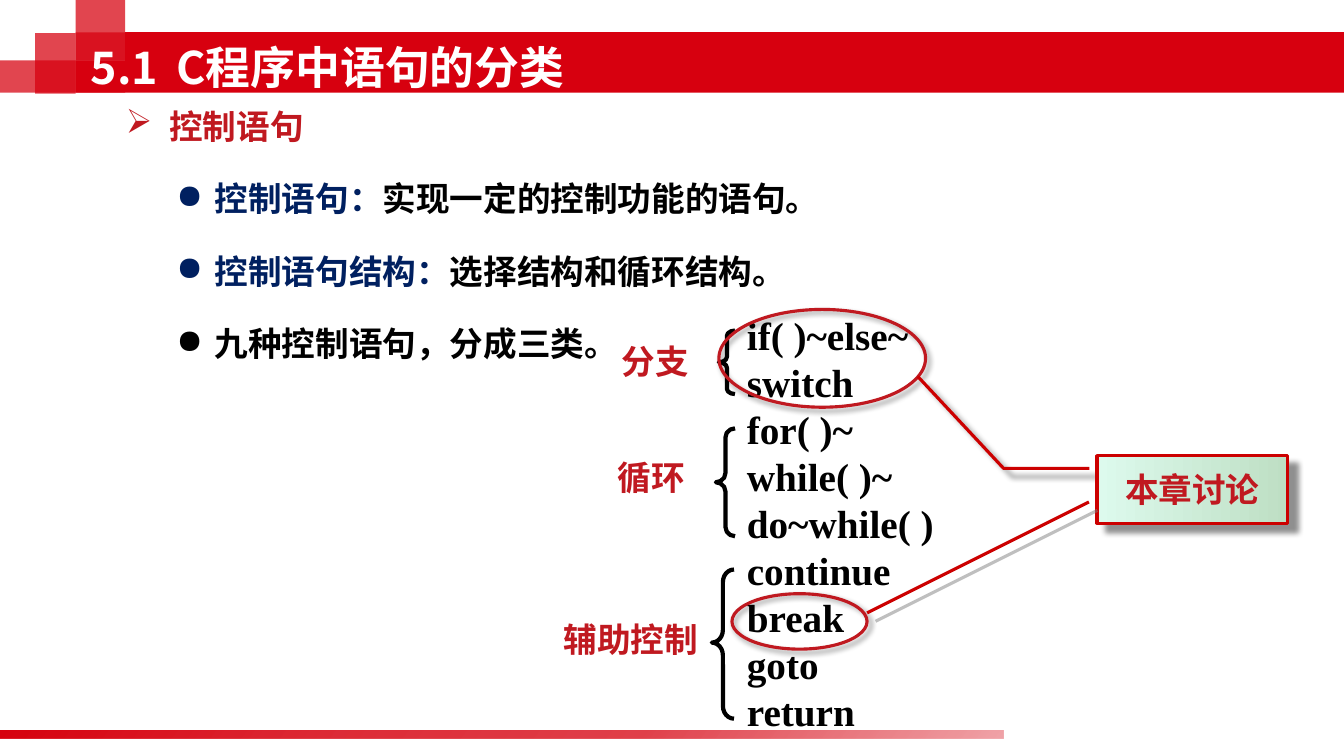
from dataclasses import dataclass
from typing import Any, Optional

from lxml import etree
from pptx import Presentation
from pptx import util as u
from pptx.dml.color import RGBColor
from pptx.enum import shapes, text
from pptx.oxml import ns

COLUMNS, ROWS = 13.33, 7.5
CELL = u.Inches(1)
RED = RGBColor(0xD7, 0x00, 0x0F)
DARK_RED = RGBColor(0xC0, 0x19, 0x20)
LINE_RED = RGBColor(0xCC, 0x00, 0x00)
NAVY = RGBColor(0x00, 0x20, 0x60)
BLACK = RGBColor(0x00, 0x00, 0x00)
WHITE = RGBColor(0xFF, 0xFF, 0xFF)
GRAY = RGBColor(0x80, 0x80, 0x80)
SAGE = RGBColor(0xBE, 0xDF, 0xC4)
MINT = RGBColor(0xDD, 0xFA, 0xED)
SANS, SERIF = "Noto Sans CJK SC", "Times New Roman"
KIND = shapes.MSO_SHAPE


@dataclass(frozen=True)
class Area:
    column: float
    row: float
    columns: float
    rows: float

    def lengths(self) -> tuple[int, ...]:
        return tuple(round(n * CELL) for n in (self.column, self.row, self.columns, self.rows))


@dataclass(frozen=True)
class Stop:
    position: int
    color: RGBColor
    opacity: int = 100


@dataclass(frozen=True)
class Shadow:
    color: RGBColor
    opacity: int
    blur: float
    distance: float


@dataclass(frozen=True)
class Figure:
    area: Area
    kind: Any = KIND.RECTANGLE
    fill: Optional[RGBColor] = None
    opacity: int = 100
    line: Optional[RGBColor] = None
    weight: float = 2.25
    adjustments: tuple[float, ...] = ()
    shadow: Optional[Shadow] = None
    stops: tuple[Stop, ...] = ()
    angle: int = 0


@dataclass(frozen=True)
class Span:
    words: str
    color: RGBColor
    size: float = 24
    font: str = SERIF


@dataclass(frozen=True)
class Item:
    spans: tuple[Span, ...]
    bullet: str = "●"
    margin: float = 0.88
    hanging: float = 0.38
    before: float = 23


@dataclass(frozen=True)
class Label:
    area: Area
    words: str


def assign(target: Any, formats: dict[str, Any]) -> None:
    for name, value in formats.items():
        setattr(target, name, value)


def add_element(parent: Any, tag: str, **attributes: Any) -> Any:
    values = {name: str(value) for name, value in attributes.items()}
    return etree.SubElement(parent, ns.qn(tag), values)


def add_color(parent: Any, color: RGBColor, opacity: int) -> None:
    node = add_element(parent, "a:srgbClr", val=color)
    if opacity < 100:
        add_element(node, "a:alpha", val=opacity * 1000)


def add_shadow(effects: Any, shadow: Shadow) -> None:
    node = add_element(effects, "a:outerShdw", blurRad=u.Pt(shadow.blur),
                       dist=u.Pt(shadow.distance), dir=45 * 60000, algn="tl", rotWithShape=0)
    add_color(node, shadow.color, shadow.opacity)


def fill_gradient(properties: Any, stops: tuple[Stop, ...], angle: int) -> None:
    gradient = etree.Element(ns.qn("a:gradFill"), rotWithShape="1")
    stop_list = add_element(gradient, "a:gsLst")
    for stop in stops:
        node = add_element(stop_list, "a:gs", pos=stop.position * 1000)
        add_color(node, stop.color, stop.opacity)
    add_element(gradient, "a:lin", ang=angle * 60000, scaled=0)
    properties.replace(properties.find(ns.qn("a:noFill")), gradient)


def draw_figure(page: Any, figure: Figure) -> Any:
    shape = page.shapes.add_shape(figure.kind, *figure.area.lengths())
    properties = shape.element.spPr
    for index, value in enumerate(figure.adjustments):
        shape.adjustments[index] = value
    if figure.fill is None:
        shape.fill.background()
    else:
        shape.fill.solid()
        shape.fill.fore_color.rgb = figure.fill
        if figure.opacity < 100:
            color = properties.find(ns.qn("a:solidFill"))[0]
            add_element(color, "a:alpha", val=figure.opacity * 1000)
    if figure.stops:
        fill_gradient(properties, figure.stops, figure.angle)
    if figure.line is None:
        shape.line.fill.background()
    else:
        shape.line.color.rgb = figure.line
        shape.line.width = u.Pt(figure.weight)
    shape.shadow.inherit = False
    if figure.shadow:
        add_shadow(properties.find(ns.qn("a:effectLst")), figure.shadow)
    return shape


def write_span(para: Any, span: Span) -> None:
    run = para.add_run()
    run.text = span.words
    assign(run.font, {"name": span.font, "size": u.Pt(span.size), "bold": True})
    run.font.color.rgb = span.color
    add_element(run.font._element, "a:ea", typeface=SANS)


def write_item(para: Any, item: Item) -> None:
    properties = para._p.get_or_add_pPr()
    properties.set("marL", str(u.Inches(item.margin)))
    properties.set("indent", str(-u.Inches(item.hanging)))
    add_element(properties, "a:buChar", char=item.bullet)
    para.space_before = u.Pt(item.before)
    for span in item.spans:
        write_span(para, span)


def add_box(page: Any, area: Area, formats: dict[str, Any]) -> Any:
    frame = page.shapes.add_textbox(*area.lengths()).text_frame
    assign(frame, formats)
    return frame


def next_para(frame: Any, index: int) -> Any:
    return frame.add_paragraph() if index else frame.paragraphs[0]


def draw_connector(page: Any, ends: tuple[float, ...], shadow: Shadow) -> None:
    points = [round(n * CELL) for n in ends]
    connector = page.shapes.add_connector(shapes.MSO_CONNECTOR.STRAIGHT, *points)
    connector.line.color.rgb = LINE_RED
    connector.line.width = u.Pt(2.25)
    add_shadow(add_element(connector.element.spPr, "a:effectLst"), shadow)


def write_title(page: Any) -> None:
    title = page.shapes.title
    assign(title, dict(zip(("left", "top", "width", "height"), Area(0.8, 0.33, 8.9, 0.67).lengths())))
    assign(title.text_frame, {"vertical_anchor": text.MSO_ANCHOR.MIDDLE, "word_wrap": True,
                              "auto_size": text.MSO_AUTO_SIZE.NONE})
    para = title.text_frame.paragraphs[0]
    tabs = add_element(para._p.get_or_add_pPr(), "a:tabLst")
    add_element(tabs, "a:tab", pos=u.Inches(0.85), algn="l")
    para.alignment = text.PP_ALIGN.LEFT
    write_span(para, Span("5.1\tC程序中语句的分类", WHITE, 32, SANS))
    page.shapes.element.append(title.element)


SOFT = Shadow(BLACK, 40, 4, 3)
BLOCKS = [Area(0, 0.6, 1.24, 0.32), Area(0.35, 0.33, 0.4, 0.6),
          Area(0.75, -0.02, 0.49, 0.62), Area(0.75, 0.32, 0.49, 0.28)]
FADE = (Stop(0, RED), Stop(31, RED, 84), Stop(64, RED, 75), Stop(100, RED, 36))
DECORATIONS = [Figure(area, fill=RED, opacity=73) for area in BLOCKS] + [
    Figure(Area(1.24, 0.32, 12.09, 0.6), fill=RED),
    Figure(Area(0.75, 0.6, 0.49, 0.32), fill=RED),
    Figure(Area(-0.02, 7.25, 9.97, 0.08), stops=FADE, angle=40)]
MARKS = [
    Figure(Area(7.13, 3.28, 0.16, 0.63), KIND.LEFT_BRACE, line=BLACK, weight=3, adjustments=(0.33, 0.5)),
    Figure(Area(7.1, 4.25, 0.19, 1.07), KIND.LEFT_BRACE, line=BLACK, weight=3, adjustments=(0.48, 0.5)),
    Figure(Area(7.06, 5.65, 0.22, 1.48), KIND.LEFT_BRACE, line=BLACK, weight=3, adjustments=(0.57, 0.49)),
    Figure(Area(7.13, 3.07, 2.05, 0.97), KIND.OVAL, line=DARK_RED, shadow=SOFT),
    Figure(Area(7.26, 5.89, 1.34, 0.55), KIND.OVAL, line=DARK_RED, shadow=SOFT)]
CALLOUT = Figure(Area(10.88, 4.52, 1.89, 0.67), KIND.LINE_CALLOUT_2, line=LINE_RED,
                 adjustments=(0.19, -0.04, 0.19, -0.49, -1.17, -0.94),
                 shadow=Shadow(BLACK, 43, 4, 8.4), stops=(Stop(0, SAGE), Stop(100, MINT)), angle=180)
ITEMS = [
    Item((Span("控制语句", DARK_RED, font=SANS),), "➢", 0.43, 0.43, 0),
    Item((Span("控制语句：", NAVY), Span("实现一定的控制功能的语句。", BLACK))),
    Item((Span("控制语句结构：", NAVY), Span("选择结构和循环结构。", BLACK))),
    Item((Span("九种控制语句，分成三类。", BLACK),))]
KEYWORDS = ["if( )~else~", "switch", "for( )~", "while( )~", "do~while( )",
            "continue", "break", "goto", "return"]
LABELS = [Label(Area(6.07, 3.33, 0.88, 0.51), "分支"),
          Label(Area(6.03, 4.48, 0.88, 0.51), "循环"),
          Label(Area(5.49, 6.09, 1.55, 0.51), "辅助控制")]


def main() -> None:
    deck = Presentation()
    assign(deck, {"slide_width": round(COLUMNS * CELL), "slide_height": round(ROWS * CELL)})
    page = deck.slides.add_slide(deck.slide_layouts[5])
    for figure in DECORATIONS:
        draw_figure(page, figure)
    body = add_box(page, Area(1.15, 1, 12.18, 2.93), {"word_wrap": True})
    for index, item in enumerate(ITEMS):
        write_item(next_para(body, index), item)
    keywords = add_box(page, Area(7.31, 3.04, 2.06, 4.3),
                       {"word_wrap": False, "vertical_anchor": text.MSO_ANCHOR.MIDDLE})
    for index, keyword in enumerate(KEYWORDS):
        para = next_para(keywords, index)
        para.line_spacing = u.Pt(33.6)
        write_span(para, Span(keyword, BLACK, 28))
    for label in LABELS:
        frame = add_box(page, label.area, {"word_wrap": False})
        write_span(frame.paragraphs[0], Span(label.words, DARK_RED))
    for figure in MARKS:
        draw_figure(page, figure)
    callout = draw_figure(page, CALLOUT).text_frame
    callout.vertical_anchor = text.MSO_ANCHOR.MIDDLE
    callout.paragraphs[0].alignment = text.PP_ALIGN.CENTER
    write_span(callout.paragraphs[0], Span("本章讨论", DARK_RED, font=SANS))
    draw_connector(page, (8.6, 6.08, 10.8, 4.98), Shadow(GRAY, 50, 0, 8.5))
    write_title(page)
    deck.save("out.pptx")


if __name__ == "__main__":
    main()
